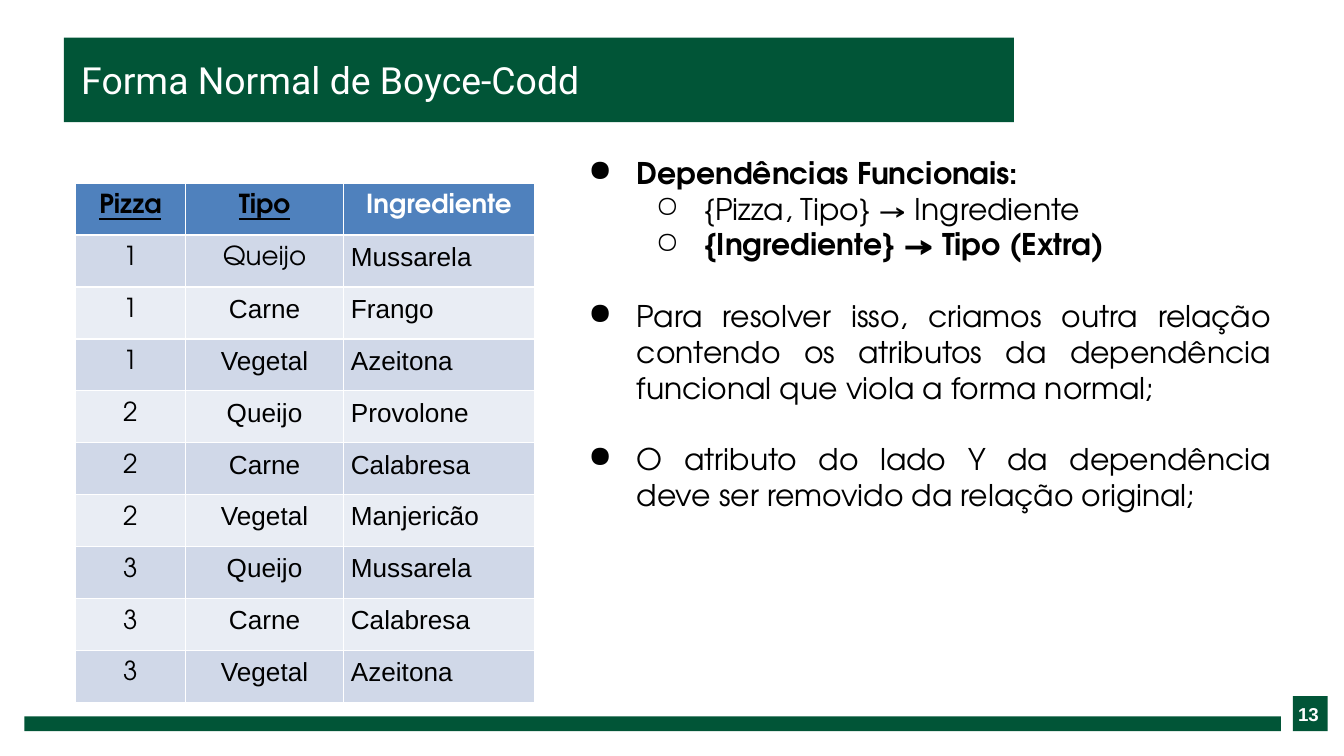
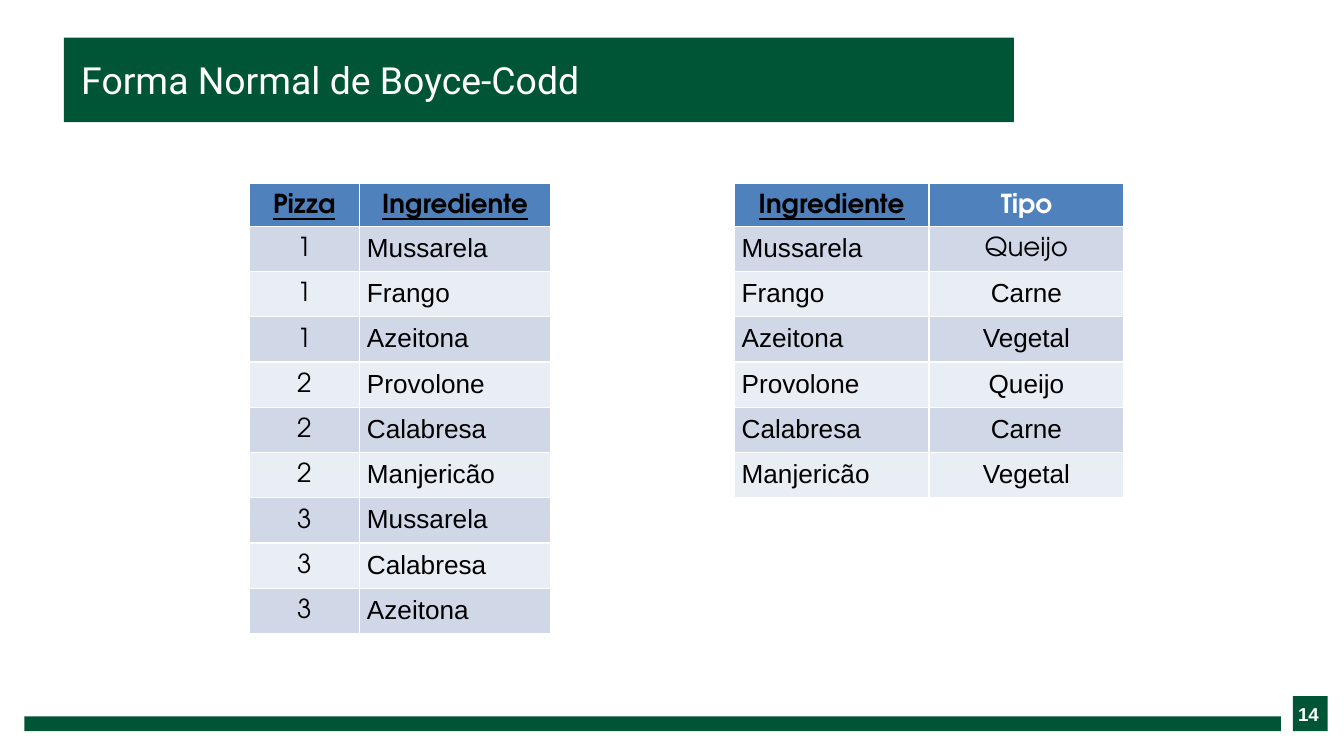
from lxml.etree import SubElement
from pptx import Presentation
from pptx.dml.color import RGBColor
from pptx.enum.shapes import MSO_SHAPE
from pptx.enum.text import MSO_ANCHOR, MSO_AUTO_SIZE, PP_ALIGN
from pptx.oxml.ns import qn
from pptx.util import Pt

GREEN = RGBColor(0x01, 0x55, 0x37)
BLUE = RGBColor(0x4F, 0x81, 0xBD)
BAND_DARK = RGBColor(0xD0, 0xD8, 0xE8)
BAND_LIGHT = RGBColor(0xE9, 0xED, 0xF4)
WHITE = RGBColor(0xFF, 0xFF, 0xFF)
BLACK = RGBColor(0, 0, 0)
ADVENTOR, ARIAL, ROBOTO = "TeX Gyre Adventor", "Arial", "Roboto"

# Content
TITLE = "Forma Normal de Boyce-Codd"
COLUMNS = ("Pizza", "Tipo", "Ingrediente")
PIZZAS = [
    ("1", "Queijo", "Mussarela"),
    ("1", "Carne", "Frango"),
    ("1", "Vegetal", "Azeitona"),
    ("2", "Queijo", "Provolone"),
    ("2", "Carne", "Calabresa"),
    ("2", "Vegetal", "Manjericão"),
    ("3", "Queijo", "Mussarela"),
    ("3", "Carne", "Calabresa"),
    ("3", "Vegetal", "Azeitona"),
]
# level, bold, space before, text
DEPENDENCIES = [
    (0, True, 0, "Dependências Funcionais:"),
    (1, False, 0, "{Pizza, Tipo} → Ingrediente"),
    (1, True, 0, "{Ingrediente} → Tipo (Extra)"),
    (0, False, 19.2, "Para resolver isso, criamos outra relação contendo os atributos "
                     "da dependência funcional que viola a forma normal;"),
    (0, False, 19.2, "O atributo do lado Y da dependência deve ser removido da "
                     "relação original;"),
]
# Each relation: left edge, header height, row height, column widths, key columns
SLIDES = [
    {"page": "13", "notes": DEPENDENCIES, "relations": [
        {"left": 40.3, "header": 27.6, "row": 27.85, "keys": ("Pizza", "Tipo"),
         "widths": {"Pizza": 59.2, "Tipo": 84.5, "Ingrediente": 102.4}}]},
    {"page": "14", "notes": [], "relations": [
        {"left": 133.4, "header": 22.8, "row": 24.25, "keys": ("Pizza", "Ingrediente"),
         "widths": {"Pizza": 59.2, "Ingrediente": 102.4}},
        {"left": 393.3, "header": 22.8, "row": 24.25, "keys": ("Ingrediente",),
         "widths": {"Ingrediente": 104.4, "Tipo": 104.4}}]},
]
RELATION_TOP = 98.3


def set_font(paragraph, color, **values):
    for name, value in values.items():
        setattr(paragraph.font, name, value)
    paragraph.font.color.rgb = color


def set_frame(frame, margin, anchor=MSO_ANCHOR.TOP):
    sides = dict.fromkeys(("left", "right", "top", "bottom"), Pt(margin))
    values = {f"margin_{side}": width for side, width in sides.items()}
    values.update(word_wrap=True, auto_size=MSO_AUTO_SIZE.NONE, vertical_anchor=anchor)
    for name, value in values.items():
        setattr(frame, name, value)


def add_bar(slide, *box):
    bar = slide.shapes.add_shape(MSO_SHAPE.RECTANGLE, *map(Pt, box))
    bar.shadow.inherit = False
    bar.fill.solid()
    bar.fill.fore_color.rgb = GREEN
    bar.line.fill.background()


def add_base(prs, page):
    """Title band, footer bar and page number."""
    slide = prs.slides.add_slide(prs.slide_layouts[5])
    title = slide.shapes.title
    title.left, title.top, title.width, title.height = map(Pt, (34.2, 20.2, 509, 45.2))
    title.fill.solid()
    title.fill.fore_color.rgb = GREEN
    set_frame(title.text_frame, 4.3, MSO_ANCHOR.MIDDLE)
    title.text_frame.margin_left = Pt(9.3)
    heading = title.text_frame.paragraphs[0]
    heading.text, heading.alignment = TITLE, PP_ALIGN.LEFT
    set_font(heading, WHITE, size=Pt(20), name=ROBOTO, bold=False)

    add_bar(slide, 13, 383.8, 673.2, 7.9)
    add_bar(slide, 692.6, 373, 18.7, 18.7)
    page_box = slide.shapes.add_textbox(*map(Pt, (686.2, 375.8, 29.5, 13)))
    set_frame(page_box.text_frame, 7.2, MSO_ANCHOR.MIDDLE)
    number = page_box.text_frame.paragraphs[0]
    number.text, number.alignment = page, PP_ALIGN.CENTER
    set_font(number, WHITE, size=Pt(10), name=ARIAL, bold=True)
    return slide


def add_notes(slide, notes):
    frame = slide.shapes.add_textbox(*map(Pt, (298.1, 75.6, 390.2, 227.5))).text_frame
    set_frame(frame, 7.2)
    for i, (level, bold, before, text) in enumerate(notes):
        point = frame.add_paragraph() if i else frame.paragraphs[0]
        point.text, point.level, point.alignment = text, level, PP_ALIGN.JUSTIFY
        if before:
            point.space_before = Pt(before)
        # Hanging bullet, one step further in for each level
        props = point._p.get_or_add_pPr()
        props.set("marL", str(Pt(36 * (level + 1))))
        props.set("indent", str(Pt(-26)))
        bullet_color = SubElement(props, qn("a:buClr"))
        SubElement(bullet_color, qn("a:srgbClr"), val=str(BLACK))
        SubElement(props, qn("a:buChar"), char="●○"[level])
        set_font(point, BLACK, size=Pt(16), name=ADVENTOR, bold=bold)


def fill_cell(cell, text, row, column, is_key):
    header = row == 0
    # Borders come before the fill in the cell properties
    props = cell._tc.get_or_add_tcPr()
    for side in ("a:lnL", "a:lnR", "a:lnT", "a:lnB"):
        line = SubElement(props, qn(side), w=str(Pt(0.75)))
        SubElement(SubElement(line, qn("a:solidFill")), qn("a:srgbClr"), val=str(WHITE))
    cell.fill.solid()
    cell.fill.fore_color.rgb = BLUE if header else (BAND_LIGHT, BAND_DARK)[row % 2]
    for side in ("left", "right", "top", "bottom"):
        setattr(cell, f"margin_{side}", Pt(4))

    # Headers, numbers and the first type use the display font
    display = header or column == "Pizza" or (column == "Tipo" and row == 1)
    entry = cell.text_frame.paragraphs[0]
    entry.text = text
    entry.alignment = (PP_ALIGN.CENTER if header or column != "Ingrediente"
                       else PP_ALIGN.LEFT)
    if display:
        entry.line_spacing = 1.15
    set_font(entry, WHITE if header and not is_key else BLACK, size=Pt(14),
             name=ADVENTOR if display else ARIAL, bold=header,
             underline=header and is_key)


def add_relation(slide, left, header, row, widths, keys):
    """Project the pizzas onto the columns, without repeated rows."""
    picked = [COLUMNS.index(column) for column in widths]
    body = dict.fromkeys(tuple(pizza[i] for i in picked) for pizza in PIZZAS)
    lines = [tuple(widths), *body]
    heights = [header] + [row] * len(body)
    table = slide.shapes.add_table(
        len(lines), len(widths), Pt(left), Pt(RELATION_TOP),
        Pt(sum(widths.values())), Pt(sum(heights))).table
    for c, width in enumerate(widths.values()):
        table.columns[c].width = Pt(width)
    for r, line in enumerate(lines):
        table.rows[r].height = Pt(heights[r])
        for c, (column, text) in enumerate(zip(widths, line)):
            fill_cell(table.cell(r, c), text, r, column, column in keys)


def main():
    prs = Presentation()
    prs.slide_width, prs.slide_height = Pt(720), Pt(405)
    for content in SLIDES:
        slide = add_base(prs, content["page"])
        if content["notes"]:
            add_notes(slide, content["notes"])
        for relation in content["relations"]:
            add_relation(slide, **relation)
    prs.save("out.pptx")


if __name__ == "__main__":
    main()
